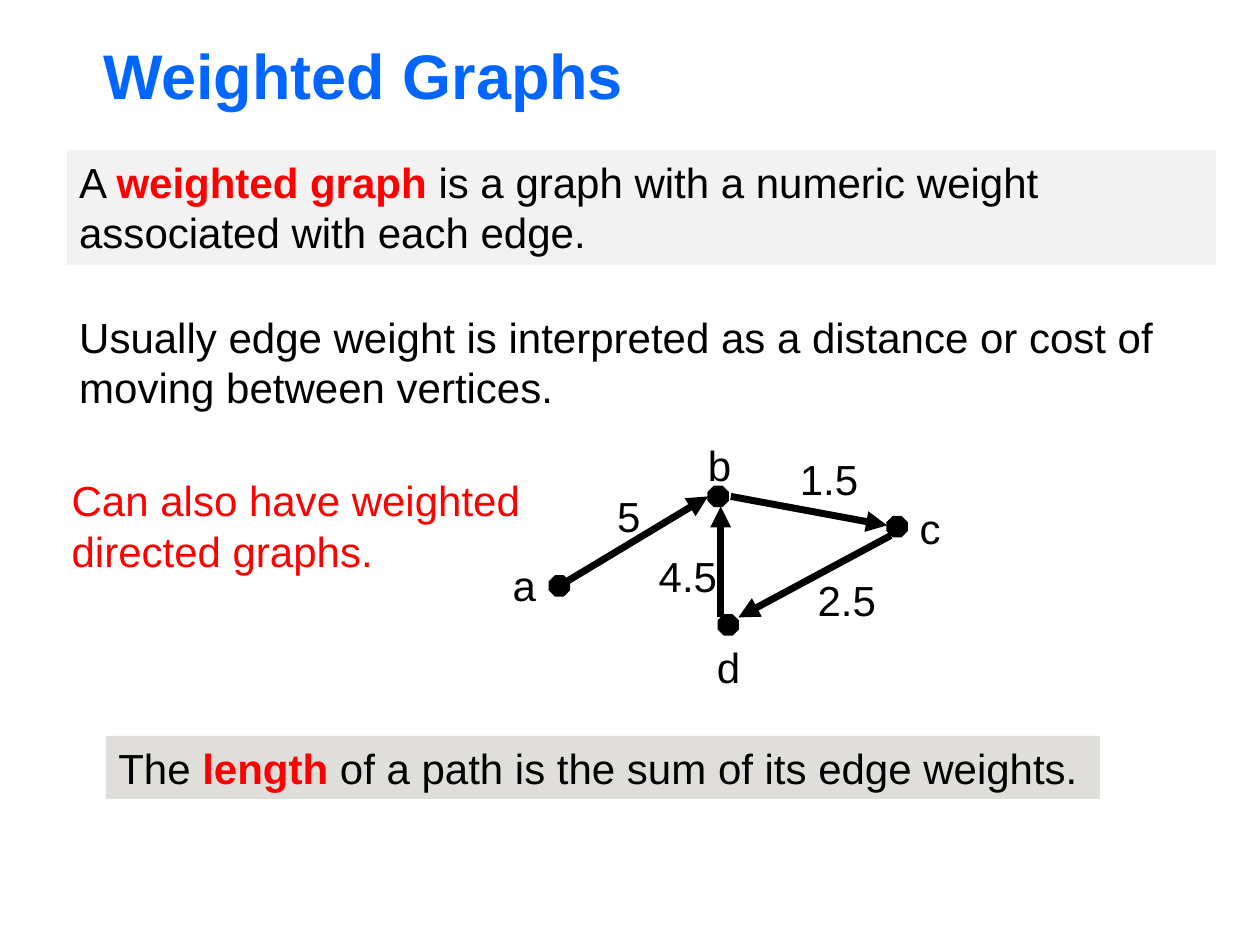
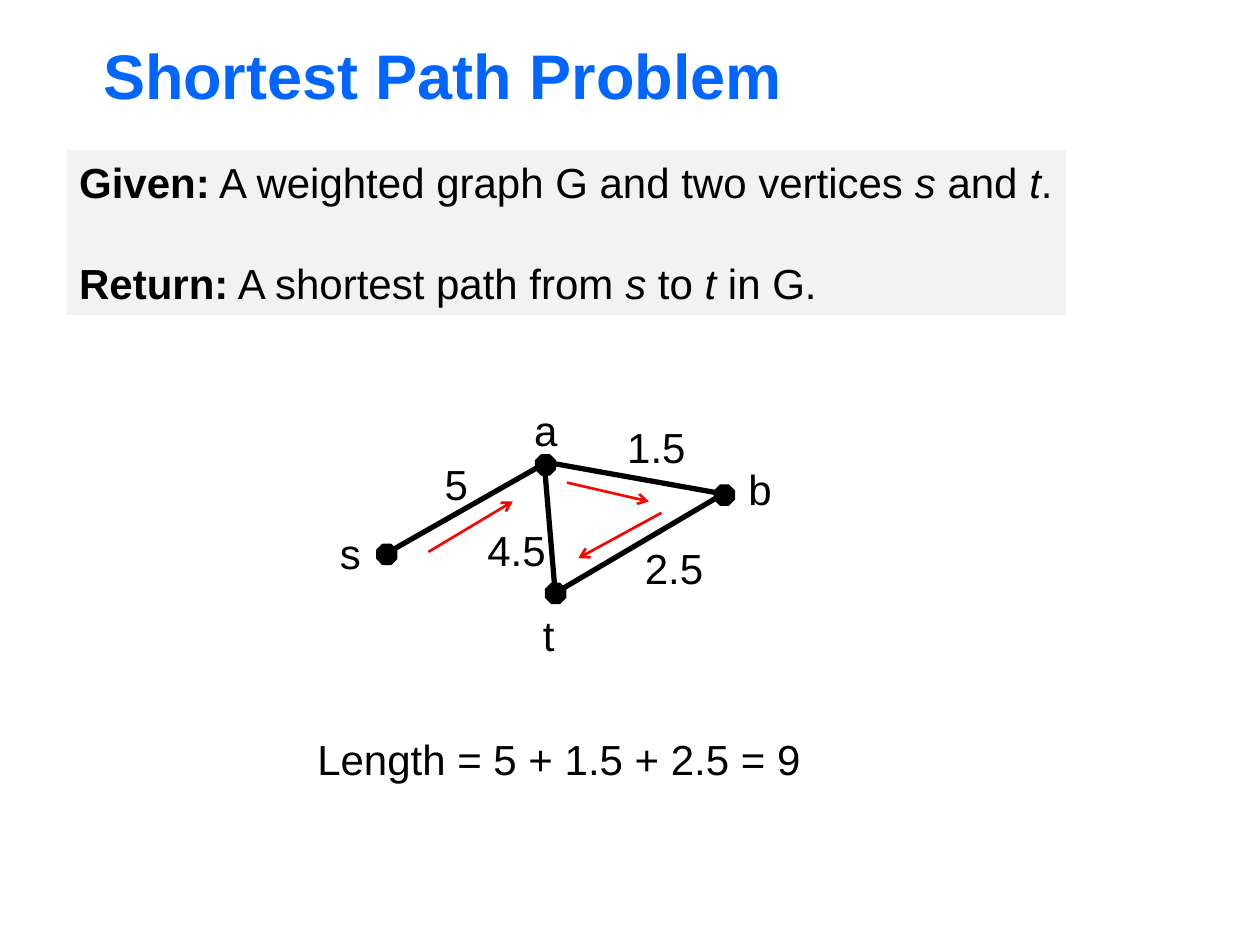
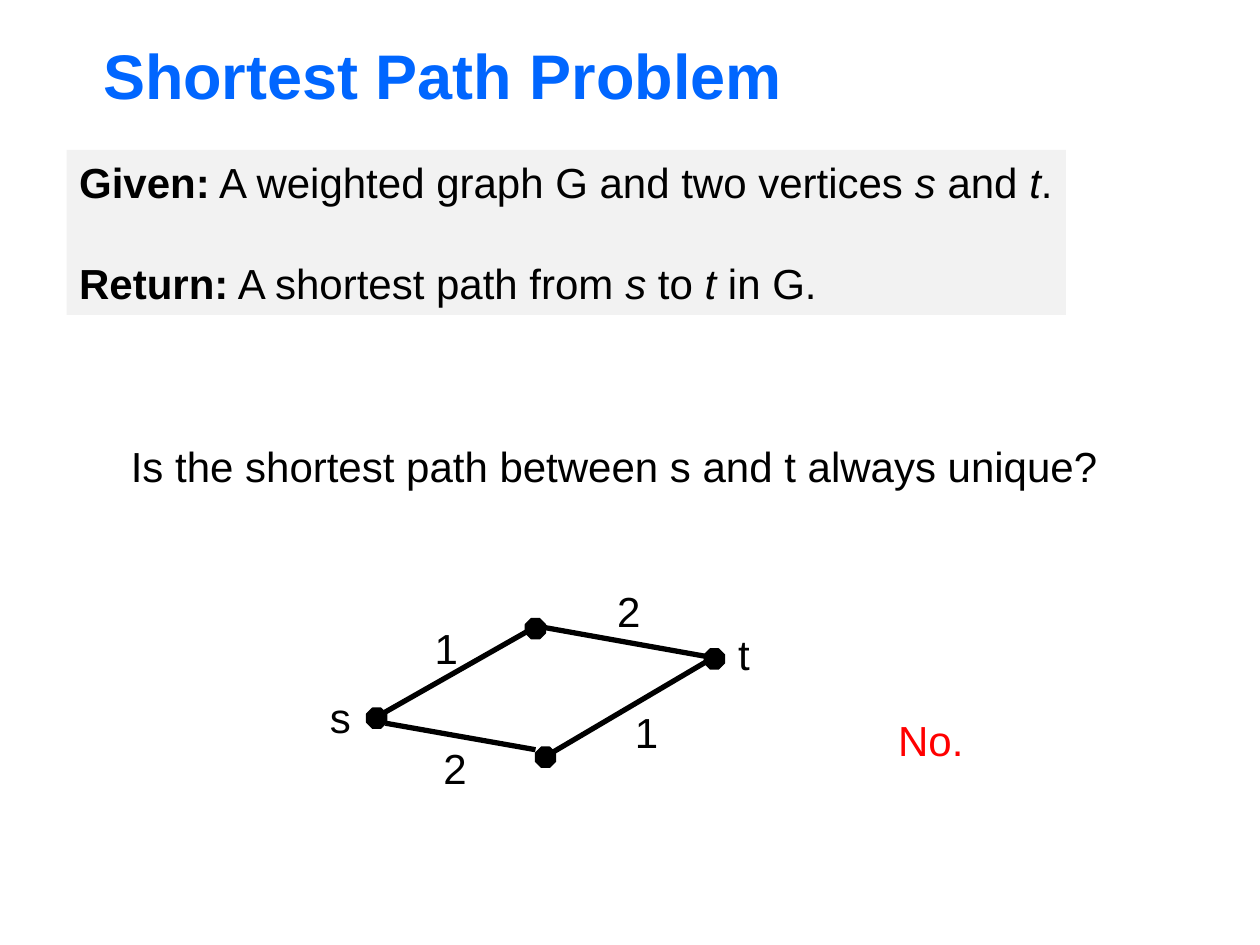
from lxml.etree import SubElement
from pptx import Presentation
from pptx.dml.color import RGBColor
from pptx.enum.shapes import MSO_CONNECTOR, MSO_SHAPE
from pptx.enum.text import MSO_ANCHOR, MSO_AUTO_SIZE, PP_ALIGN
from pptx.oxml.ns import qn
from pptx.util import Pt

PX = 9144
FONT = "Arial"
COLORS = {
    "title": "0066FF",
    "text": "000000",
    "accent": "FF0000",
    "panel": "F2F2F2",
    "summary": "E0DEDA",
}
LINE_H = 50
NODE = 16
NODE_SPOTS = [(0, 71), (126, 0), (268, 24), (134, 102)]
WEIGHT_SPOTS = [(44, -2), (189, -31), (203, 65)]
CHAR_W = {"t": 9, ".": 9, "s": 17, "c": 17}
LEFT_TOP = (8, 78, 133, 7)
TOP_RIGHT = (141, 7, 275, 31)
BOTTOM_RIGHT = (141, 110, 275, 31)
PROBLEM = [
    [("Given:", "b"), (" A weighted graph G and two vertices ", ""),
     ("s", "i"), (" and ", ""), ("t", "i"), (".", "")],
    [("Return:", "b"), (" A shortest path from ", ""),
     ("s", "i"), (" to ", ""), ("t", "i"), (" in G.", "")],
]


def px(*lengths):
    """Turn px lengths into EMU."""
    return [n * PX for n in lengths]


def rgb(name):
    """Look up a named colour."""
    return RGBColor.from_string(COLORS[name])


def style_run(r, color="text", size=24, bold=False, italic=False):
    """Give a run its font."""
    f = r.font
    f.name, f.size, f.bold, f.italic = FONT, Pt(size), bold, italic
    f.color.rgb = rgb(color)


def add_text(s, text, x, y, w, h=LINE_H, color="text"):
    """Add an unwrapped text box that fits its text."""
    tf = s.shapes.add_textbox(*px(x, y, w, h)).text_frame
    tf.word_wrap = False
    tf.auto_size = MSO_AUTO_SIZE.SHAPE_TO_FIT_TEXT
    p = tf.paragraphs[0]
    p.text = text
    for r in p.runs:
        style_run(r, color)


def add_title(s, text):
    """Add the slide title."""
    tf = s.shapes.add_textbox(*px(72, 25, 850, 68)).text_frame
    tf.word_wrap = True
    tf.vertical_anchor = MSO_ANCHOR.MIDDLE
    tf.text = text
    style_run(tf.paragraphs[0].runs[0], "title", 36, bold=True)


def add_panel(s, paragraphs, x, y, w, h, fill="panel", wrap=True):
    """Add a filled panel of paragraphs made of (text, style) parts."""
    sp = s.shapes.add_shape(MSO_SHAPE.RECTANGLE, *px(x, y, w, h))
    sp.shadow.inherit = False
    sp.fill.solid()
    sp.fill.fore_color.rgb = rgb(fill)
    sp.line.fill.background()
    tf = sp.text_frame
    tf.word_wrap = wrap
    tf.auto_size = MSO_AUTO_SIZE.SHAPE_TO_FIT_TEXT
    tf.vertical_anchor = MSO_ANCHOR.TOP
    for i, parts in enumerate(paragraphs):
        p = tf.add_paragraph() if i else tf.paragraphs[0]
        p.alignment = PP_ALIGN.LEFT
        p.space_before = Pt(29 if i else 0)
        for text, style in parts:
            r = p.add_run()
            r.text = text
            style_run(r, "accent" if style == "term" else "text",
                      bold=style in ("b", "term"), italic=style == "i")


def add_edge(s, x, y, edge, color, width, arrow):
    """Add a line given relative to (x, y), with an optional arrowhead."""
    x1, y1, x2, y2 = edge
    c = s.shapes.add_connector(MSO_CONNECTOR.STRAIGHT,
                               *px(x + x1, y + y1, x + x2, y + y2))
    c.line.color.rgb = rgb(color)
    c.line.width = Pt(width)
    if arrow:
        SubElement(c.line._get_or_add_ln(), qn("a:tailEnd"), type=arrow)
    SubElement(c._element.spPr, qn("a:effectLst"))


def add_graph(s, x, y, edges, weights, labels, width=3, arrow=None):
    """Draw the four-vertex graph with its top-left corner at (x, y)."""
    for dx, dy in NODE_SPOTS:
        sp = s.shapes.add_shape(MSO_SHAPE.OCTAGON,
                                *px(x + dx, y + dy, NODE, NODE))
        sp.shadow.inherit = False
        sp.fill.solid()
        sp.fill.fore_color.rgb = rgb("text")
        sp.line.color.rgb = rgb("text")
        sp.line.width = Pt(0.75)
    for edge in edges:
        add_edge(s, x, y, edge, "text", width, arrow)
    placed = [(t, *spot) for t, spot in zip(weights, WEIGHT_SPOTS)]
    for text, dx, dy in placed + labels:
        w = 20 + sum(CHAR_W.get(ch, 19) for ch in text)
        add_text(s, text, x + dx, y + dy, w)


def weighted_graphs(s):
    """Define weighted graphs and path length."""
    add_title(s, "Weighted Graphs")
    add_panel(s, [[("A ", ""), ("weighted graph", "term"),
                   (" is a graph with a numeric weight associated with each edge.", "")]],
              53, 119, 912, 91)
    add_panel(s, [[("The ", ""), ("length ", "term"),
                   ("of a path is the sum of its edge weights.", "")]],
              84, 584, 789, LINE_H, "summary", wrap=False)
    edges = [(8, 79, 126, 8), (144, 8, 268, 31),
             (271, 39, 150, 104), (136, 104, 136, 16)]
    labels = [("a", -39, 53), ("b", 116, -42), ("c", 284, 8),
              ("d", 123, 118), ("4.5", 77, 46)]
    add_graph(s, 436, 386, edges, ["5", "1.5", "2.5"], labels, 4, "triangle")
    add_text(s, "Usually edge weight is interpreted as a distance or cost of \n"
                "moving between vertices.", 53, 242, 891, 91)
    add_text(s, "Can also have weighted \ndirected graphs.",
             47, 372, 389, 91, "accent")


def problem_header(s):
    """Add the title and the statement of the shortest path problem."""
    add_title(s, "Shortest Path Problem")
    add_panel(s, PROBLEM, 53, 119, 793, 131)


def shortest_path(s):
    """Show a shortest path and its length."""
    problem_header(s)
    x, y = 299, 361
    labels = [("s", -39, 53), ("a", 115, -45), ("b", 285, 2),
              ("t", 122, 118), ("4.5", 78, 50)]
    add_graph(s, x, y, [(141, 102, 133, 7), LEFT_TOP, TOP_RIGHT, BOTTOM_RIGHT],
              ["5", "1.5", "2.5"], labels)
    for step in [(41, 77, 108, 37), (151, 22, 216, 37), (226, 46, 160, 82)]:
        add_edge(s, x, y, step, "accent", 1.5, "arrow")
    add_text(s, "Length = 5 + 1.5 + 2.5 = 9", 242, 577, 407)


def uniqueness(s):
    """Ask whether the shortest path is unique."""
    problem_header(s)
    add_text(s, "Is the shortest path between s and t always unique?", 94, 345, 804)
    labels = [("s", -39, 53), ("t", 285, 3), ("2", 51, 93)]
    add_graph(s, 291, 491, [(134, 104, 15, 83), LEFT_TOP, TOP_RIGHT, BOTTOM_RIGHT],
              ["1", "2", "1"], labels)
    add_text(s, "No.", 703, 562, 73, color="accent")


def main():
    """Build the deck."""
    prs = Presentation()
    prs.slide_width, prs.slide_height = px(1000, 750)
    for build in (weighted_graphs, shortest_path, uniqueness):
        build(prs.slides.add_slide(prs.slide_layouts[6]))
    prs.save("out.pptx")


if __name__ == "__main__":
    main()
